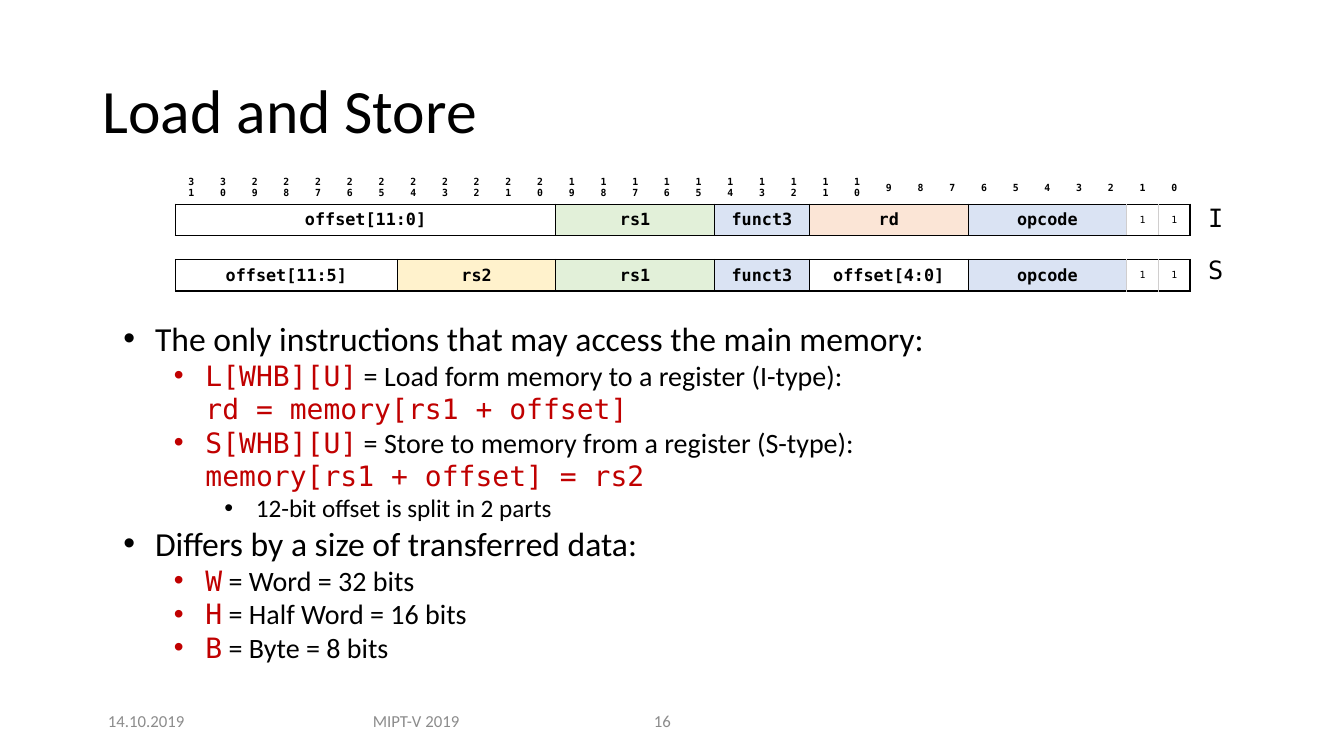
from lxml import etree
from pptx import Presentation
from pptx import util as u
from pptx.dml.color import RGBColor
from pptx.enum import shapes, text
from pptx.oxml import ns

COLORS = {
    "black": "000000", "white": "FFFFFF", "red": "C00000", "gray": "8C8C8C",
    "divider": "D0CECE", "green": "E2F0D9", "blue": "DAE3F3",
    "orange": "FBE5D6", "yellow": "FFF2CC",
}
SANS, MONO = "Calibri", "DejaVu Sans Mono"
NO_STYLE = "{2D5ABB26-0587-4C30-8999-92F81FD0307C}"
BITS = 32
BIT_WIDTH = 22.67
ROW_HEIGHTS = (22.5, 22.5, 17, 22.5)

TAIL = [("opcode", 5, "blue"), ("1", 1, None), ("1", 1, None)]
FORMATS = {
    1: [("offset[11:0]", 12, None), ("rs1", 5, "green"), ("funct3", 3, "blue"),
        ("rd", 5, "orange")] + TAIL,
    3: [("offset[11:5]", 7, None), ("rs2", 5, "yellow"), ("rs1", 5, "green"),
        ("funct3", 3, "blue"), ("offset[4:0]", 5, None)] + TAIL,
}
BULLETS = [
    (0, "", "The only instructions that may access the main memory:", ""),
    (1, "L[WHB][U]", " = Load form memory to a register (I-type):", "rd = memory[rs1 + offset]"),
    (1, "S[WHB][U]", " = Store to memory from a register (S-type):", "memory[rs1 + offset] = rs2"),
    (2, "", "12-bit offset is split in 2 parts", ""),
    (0, "", "Differs by a size of transferred data:", ""),
    (1, "W", " = Word = 32 bits", ""),
    (1, "H", " = Half Word = 16 bits", ""),
    (1, "B", " = Byte = 8 bits", ""),
]
LEVEL_SIZES = (24, 20, 18)


def add_text(p, content, font=SANS, size=12, color="black", bold=False):
    r = p.add_run()
    r.text = content
    r.font.name = font
    r.font.size = u.Pt(size)
    r.font.bold = bold
    r.font.color.rgb = RGBColor.from_string(COLORS[color])


def add_bullet(p, level):
    p.level = level
    pPr = p._p.get_or_add_pPr()
    pPr.set("marL", str(u.Pt(22.5 + 36 * level)))
    pPr.set("indent", str(u.Pt(-22.5)))
    etree.SubElement(pPr, ns.qn("a:buFont"), typeface="Arial")
    etree.SubElement(pPr, ns.qn("a:buChar"), char="•")
    p.space_before = u.Pt(0)


def add_borders(cell, **sides):
    tcPr = cell._tc.get_or_add_tcPr()
    for side in "LRTB":
        if side in sides:
            ln = etree.SubElement(tcPr, ns.qn("a:ln" + side), w=str(u.Pt(1)))
            fill = etree.SubElement(ln, ns.qn("a:solidFill"))
            etree.SubElement(fill, ns.qn("a:srgbClr"), val=COLORS[sides[side]])


class SlideBuilder:
    def __init__(self, prs):
        self.slide = prs.slides.add_slide(prs.slide_layouts[1])

    def place(self, sp, left, top, width, height):
        sp.left, sp.top, sp.width, sp.height = map(u.Pt, (left, top, width, height))
        tf = sp.text_frame
        tf.word_wrap = True
        tf.auto_size = text.MSO_AUTO_SIZE.NONE
        return tf

    def veil(self, color, percent, *box):
        sp = self.slide.shapes.add_shape(shapes.MSO_SHAPE.RECTANGLE, *map(u.Pt, box))
        sp.shadow.inherit = False
        sp.line.fill.background()
        sp.fill.solid()
        sp.fill.fore_color.rgb = RGBColor.from_string(COLORS[color])
        clr = sp._element.spPr.find(".//" + ns.qn("a:srgbClr"))
        etree.SubElement(clr, ns.qn("a:alpha"), val=str(percent * 1000))

    def title(self, content, *box):
        tf = self.place(self.slide.shapes.title, *box)
        tf.vertical_anchor = text.MSO_ANCHOR.MIDDLE
        p = tf.paragraphs[0]
        p.alignment = text.PP_ALIGN.LEFT
        p.line_spacing = 0.9
        add_text(p, content, size=44)

    def label(self, content, *box, align=text.PP_ALIGN.CENTER,
              anchor=text.MSO_ANCHOR.MIDDLE, **style):
        tf = self.place(self.slide.shapes.add_textbox(0, 0, 0, 0), *box)
        tf.vertical_anchor = anchor
        p = tf.paragraphs[0]
        p.alignment = align
        add_text(p, content, **style)

    def bullets(self, items, *box):
        tf = self.place(self.slide.placeholders[1], *box)
        tf.vertical_anchor = text.MSO_ANCHOR.TOP
        for i, (level, code, words, formula) in enumerate(items):
            p = tf.add_paragraph() if i else tf.paragraphs[0]
            add_bullet(p, level)
            size = LEVEL_SIZES[level]
            if code:
                add_text(p, code, font=MONO, size=size, color="red")
            add_text(p, words, size=size)
            if formula:
                p.add_line_break()
                add_text(p, formula, font=MONO, size=size, color="red")

    def cell(self, cell, content, fill=None, borders=None, **style):
        cell.vertical_anchor = text.MSO_ANCHOR.MIDDLE
        p = cell.text_frame.paragraphs[0]
        p.alignment = text.PP_ALIGN.CENTER
        if content:
            add_text(p, content, font=MONO, **style)
        else:
            etree.SubElement(p._p, ns.qn("a:endParaRPr"), sz="700")
        add_borders(cell, **(borders or {}))
        if fill:
            cell.fill.solid()
            cell.fill.fore_color.rgb = RGBColor.from_string(COLORS[fill])
        else:
            cell.fill.background()

    def encoding_table(self, left, top):
        frame = self.slide.shapes.add_table(
            len(ROW_HEIGHTS), BITS, u.Pt(left), u.Pt(top),
            u.Pt(BIT_WIDTH * BITS), u.Pt(sum(ROW_HEIGHTS)))
        table = frame.table
        table.first_row = table.horz_banding = False
        table._tbl.tblPr.find(ns.qn("a:tableStyleId")).text = NO_STYLE
        for column in table.columns:
            column.width = u.Pt(BIT_WIDTH)
        for row, height in zip(table.rows, ROW_HEIGHTS):
            row.height = u.Pt(height)
        for i in range(BITS):
            self.cell(table.cell(0, i), str(BITS - 1 - i), size=7, bold=True,
                      borders={"B": "black"})
            self.cell(table.cell(2, i), "", borders={"T": "black", "B": "black"})
        for row, fields in FORMATS.items():
            self.format_row(table, row, fields)

    def format_row(self, table, row, fields):
        start = 0
        for name, span, fill in fields:
            end = start + span
            cell = table.cell(row, start)
            if span > 1:
                cell.merge(table.cell(row, end - 1))
            borders = {
                "L": "divider" if start >= BITS - 2 else "black",
                "R": "divider" if BITS - 2 <= end < BITS else "black",
                "T": "black", "B": "black",
            }
            self.cell(cell, name, fill, borders,
                      size=12 if span > 1 else 7, bold=span > 1)
            start = end


def main():
    prs = Presentation()
    prs.slide_width, prs.slide_height = u.Pt(960), u.Pt(540)
    s = SlideBuilder(prs)
    s.veil("white", 83, 589.5, 473, 370.5, 67)
    s.title("Load and Store", 66, 28.75, 828, 104.4)
    s.encoding_table(125.28, 122.4)
    for name, top in (("I", 141), ("S", 178.3)):
        s.label(name, 850.8, top, 35.3, 29, anchor=text.MSO_ANCHOR.TOP, font=MONO, size=18)
    s.bullets(BULLETS, 81, 223.4, 749.5, 257)
    s.label("14.10.2019", 66, 500.5, 77, 28.8, color="gray")
    s.label("MIPT-V 2019", 240.3, 500.5, 113.8, 28.8, color="gray")
    s.label("16", 460, 500.5, 56.9, 28.8, align=text.PP_ALIGN.LEFT, color="gray")
    prs.save("out.pptx")


if __name__ == "__main__":
    main()
